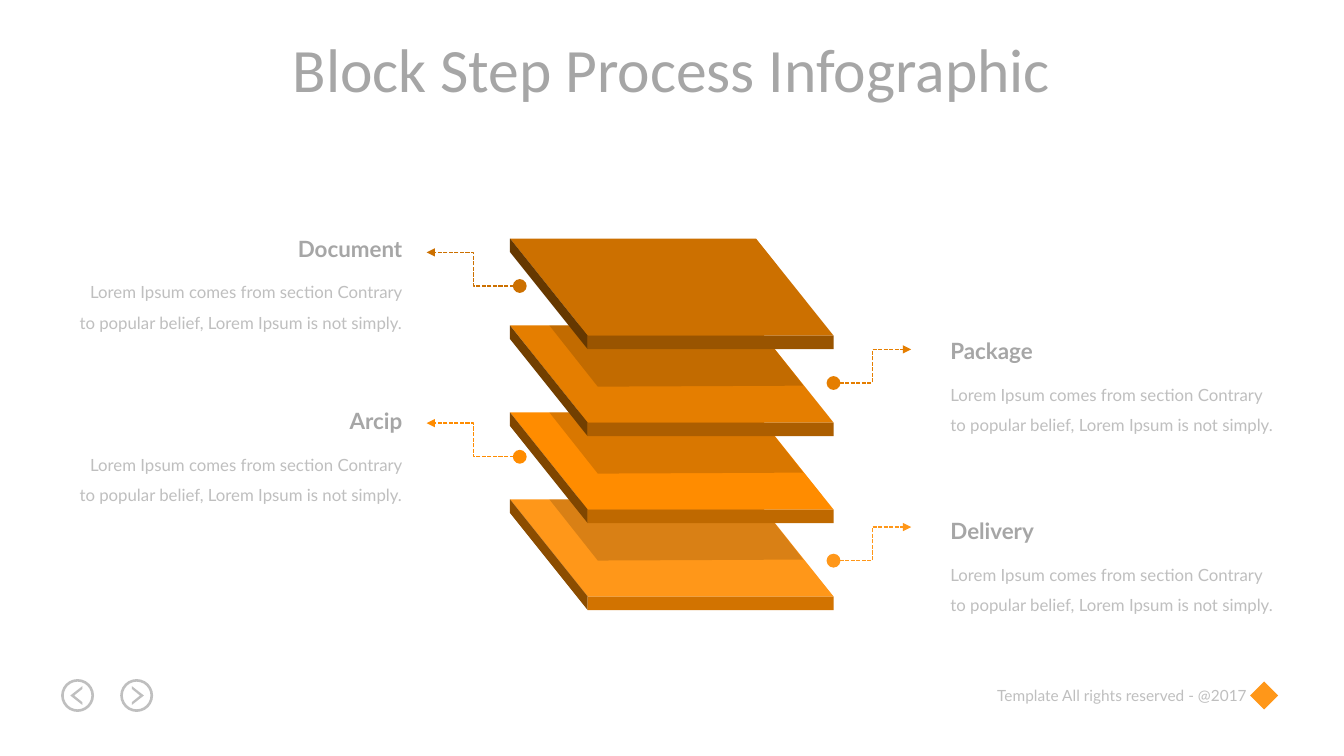
from dataclasses import dataclass

from lxml.etree import SubElement
from pptx import Presentation
from pptx.dml.color import RGBColor
from pptx.enum.dml import MSO_LINE
from pptx.enum.shapes import MSO_CONNECTOR as Connector, MSO_SHAPE as Shape
from pptx.enum.text import MSO_ANCHOR as Anchor, MSO_AUTO_SIZE as AutoSize, PP_ALIGN as Align
from pptx.oxml.ns import qn
from pptx.util import Pt


@dataclass(frozen=True)
class Theme:
    title_font: str = "Calibri"
    body_font: str = "Lato"
    title_size: float = 44
    heading_size: float = 16
    body_size: float = 12
    footer_size: float = 11
    heading_color: str = "A6A6A6"
    body_color: str = "BFBFBF"
    shade_color: str = "000000"
    shade_alpha: int = 15
    # Block colours from bottom to top: face, side, front
    blocks: tuple = (
        ("FF9719", "8C4D00", "D27300"),
        ("FF8C00", "804600", "BF6900"),
        ("E57E00", "723F00", "AC5E00"),
        ("CC7000", "663800", "995400"),
    )


class SlideBuilder:
    def __init__(self, page, theme):
        self.page = page
        self.theme = theme

    def paint(self, shape, color, alpha=None):
        shape.shadow.inherit = False
        shape.fill.solid()
        shape.fill.fore_color.rgb = RGBColor.from_string(color)
        shape.line.fill.background()
        if alpha is not None:
            tint = next(shape.element.spPr.iter(qn("a:srgbClr")))
            SubElement(tint, qn("a:alpha"), val=str(alpha * 1000))

    def preset(self, kind, left, top, width, height, color, parent=None):
        shapes = (parent or self.page).shapes
        shape = shapes.add_shape(kind, Pt(left), Pt(top), Pt(width), Pt(height))
        self.paint(shape, color)
        return shape

    def polygon(self, points, color, alpha=None, parent=None):
        corners = [(Pt(x), Pt(y)) for x, y in points]
        builder = (parent or self.page).shapes.build_freeform(*corners[0])
        builder.add_line_segments(corners[1:], close=True)
        self.paint(builder.convert_to_shape(), color, alpha)

    def set_text(self, box, text, font, size, color, align, bold=False, wrap=False, spacing=None):
        frame = box.text_frame
        frame.text = text
        frame.word_wrap = wrap
        frame.auto_size = AutoSize.SHAPE_TO_FIT_TEXT
        frame.vertical_anchor = Anchor.TOP
        para = frame.paragraphs[0]
        para.alignment = align
        if spacing:
            para.line_spacing = spacing
        for span in para.runs:
            span.font.name = font
            span.font.size = Pt(size)
            span.font.bold = bold
            span.font.color.rgb = RGBColor.from_string(color)

    def title(self, text, left, top, width, height):
        box = self.page.shapes.title
        box.left, box.top, box.width, box.height = Pt(left), Pt(top), Pt(width), Pt(height)
        theme = self.theme
        self.set_text(box, text, theme.title_font, theme.title_size, theme.heading_color,
                      Align.CENTER, spacing=1.0)

    def text(self, text, left, top, width, height, size, color, align, **options):
        box = self.page.shapes.add_textbox(Pt(left), Pt(top), Pt(width), Pt(height))
        self.set_text(box, text, self.theme.body_font, size, color, align, **options)

    def leader(self, start, end, color):
        connector = self.page.shapes.add_connector(
            Connector.ELBOW, Pt(start[0]), Pt(start[1]), Pt(end[0]), Pt(end[1]))
        connector.line.color.rgb = RGBColor.from_string(color)
        connector.line.width = Pt(1)
        connector.line.dash_style = MSO_LINE.SQUARE_DOT
        outline = connector.element.spPr.find(qn("a:ln"))
        SubElement(outline, qn("a:headEnd"), type="oval", w="lg", len="lg")
        SubElement(outline, qn("a:tailEnd"), type="triangle")
        SubElement(connector.element.spPr, qn("a:effectLst"))

    def block(self, top, colors, shaded):
        face, side, front = colors
        left, corner, back, right = 364.3, 419.8, 540, 595.4
        depth, thickness = 69.4, 9.7
        group = self.page.shapes.add_group_shape()
        self.polygon([(corner, top + depth), (right, top + depth), (back, top), (left, top)],
                     face, parent=group)
        self.polygon([(left, top), (left, top + thickness), (corner, top + depth + thickness),
                      (corner, top + depth)], side, parent=group)
        if shaded:
            self.polygon([(427, top + 43.7), (573.8, top + 43), (back, top), (392.4, top)],
                         self.theme.shade_color, self.theme.shade_alpha, group)
        self.preset(Shape.RECTANGLE, corner, top + depth, right - corner, thickness, front, group)

    def callout(self, heading, body, left_side, top, heading_width, dot_top, color):
        theme = self.theme
        body_width, heading_height = 247, 26.6
        body_left = 47.5 if left_side else 671.8
        heading_left = body_left + body_width - heading_width if left_side else body_left
        align = Align.RIGHT if left_side else Align.LEFT
        start, end = (371.3, 304.8) if left_side else (595.4, 650.9)
        self.leader((start, dot_top), (end, dot_top - 24), color)
        self.text(body, body_left, top + heading_height, body_width, 72.7, theme.body_size,
                  theme.body_color, align, wrap=True, spacing=1.5)
        self.text(heading, heading_left, top, heading_width, heading_height,
                  theme.heading_size, theme.heading_color, align, bold=True)

    def arrow_button(self, center_x, direction):
        center_y, diameter = 496.8, 23.5
        color = self.theme.body_color
        ring = self.preset(Shape.DONUT, center_x - diameter / 2, center_y - diameter / 2,
                           diameter, diameter, color)
        ring.adjustments[0] = 0.08
        chevron = [(-3.4, -4.7), (2.4, 0), (-3.4, 4.7), (-3.4, 6.7), (5.2, 0), (-3.4, -6.7)]
        self.polygon([(center_x + direction * x, center_y + y) for x, y in chevron], color)


def main():
    deck = Presentation()
    deck.slide_width, deck.slide_height = Pt(960), Pt(540)
    theme = Theme()
    slide = SlideBuilder(deck.slides.add_slide(deck.slide_layouts[5]), theme)

    # Footer
    slide.text("Template All rights reserved - @2017", 701.3, 486.7, 196.6, 20.9,
               theme.footer_size, theme.body_color, Align.RIGHT)
    for center_x, direction in ((55.4, -1), (97.6, 1)):
        slide.arrow_button(center_x, direction)
    slide.preset(Shape.DIAMOND, 893, 486.8, 20, 20, theme.blocks[0][0])

    # Title
    slide.title("Block Step Process Infographic", 152, 18.7, 656, 60.5)

    # Stack of blocks, from the bottom up
    top_block = len(theme.blocks) - 1
    for level, colors in enumerate(theme.blocks):
        slide.block(170.4 + 62.1 * (top_block - level), colors, shaded=level < top_block)

    # Callouts: heading, left side, top, heading width, dot height, block level
    body = "Lorem Ipsum comes from section Contrary to popular belief, Lorem Ipsum is not simply."
    for heading, left_side, top, width, dot_top, level in (
        ("Document", True, 164.2, 90, 204.3, 3),
        ("Arcip", True, 287.3, 53.3, 326.3, 1),
        ("Package", False, 237.6, 74.2, 273.6, 2),
        ("Delivery", False, 365.8, 75.6, 400.5, 0),
    ):
        slide.callout(heading, body, left_side, top, width, dot_top, theme.blocks[level][0])

    deck.save("out.pptx")


if __name__ == "__main__":
    main()
